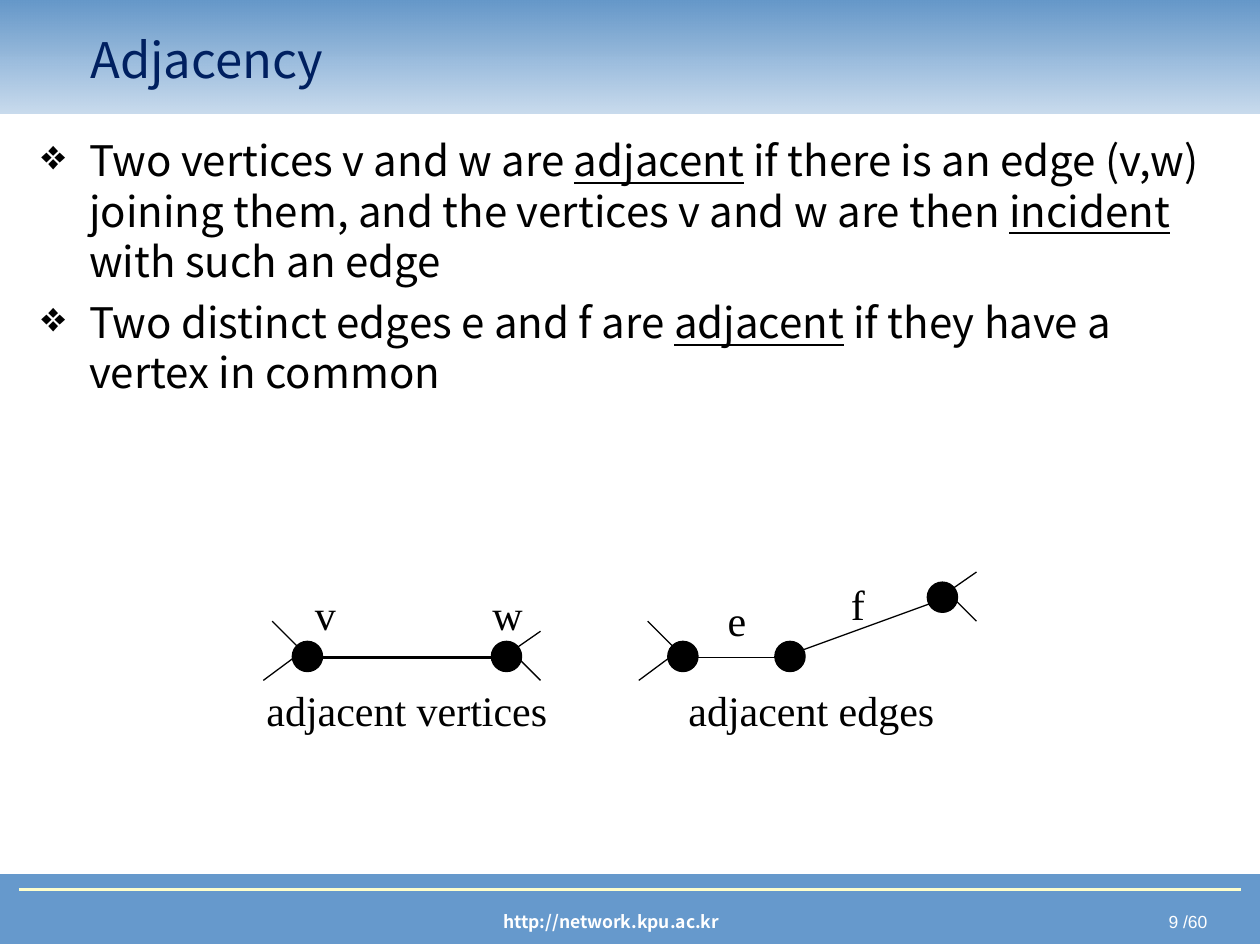
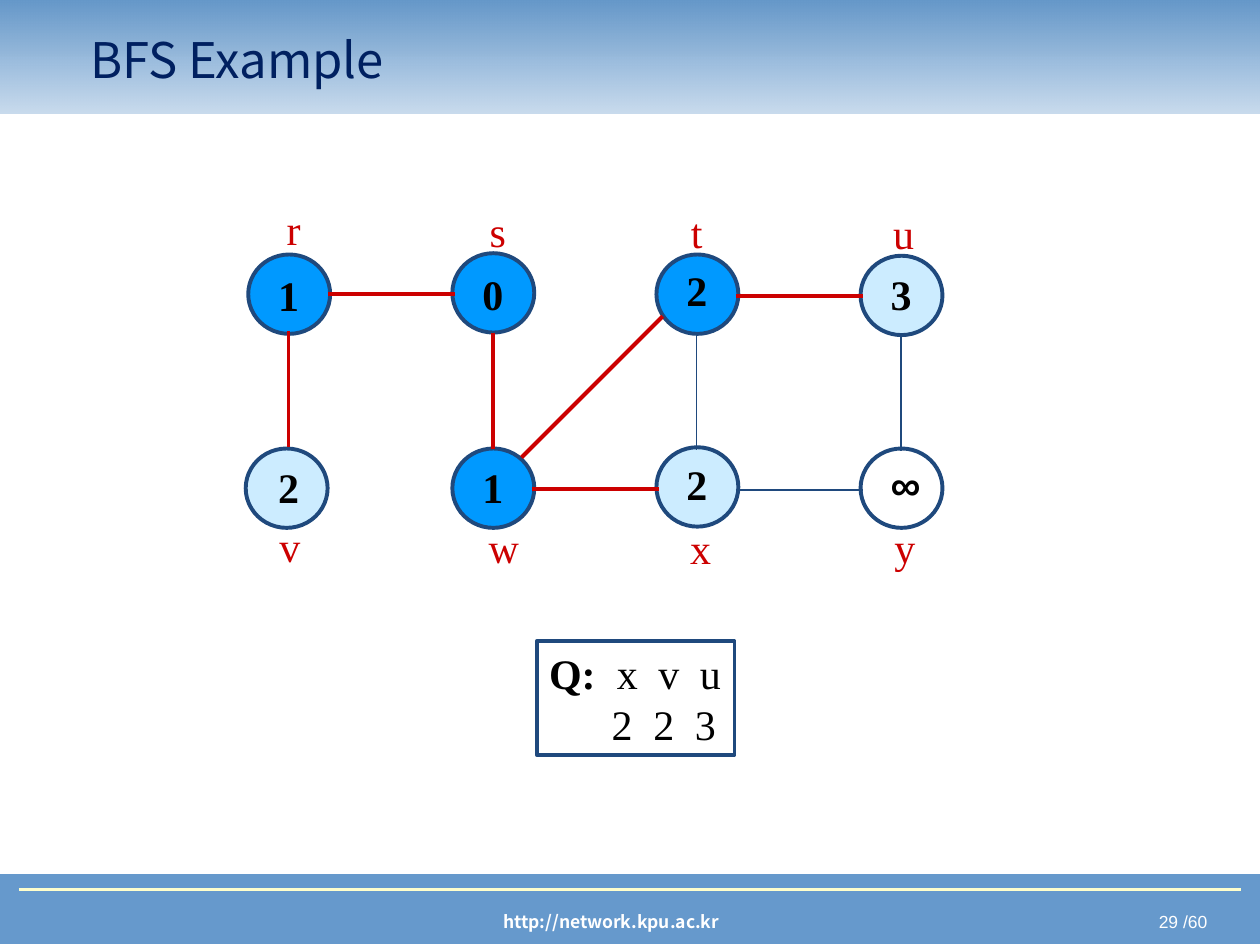
from lxml import etree
from pptx import Presentation
from pptx.dml.color import RGBColor
from pptx.enum import shapes, text
from pptx.oxml import ns
from pptx.util import Inches, Pt

SANS, SERIF = "Noto Sans CJK KR", "Times New Roman"
BLACK, WHITE, NAVY, SKY = "000000", "FFFFFF", "002060", "6699CC"
RED, OUTLINE, VISITED, QUEUED = "CC0000", "1F497D", "0099FF", "CCECFF"
CENTER, RIGHT = text.PP_ALIGN.CENTER, text.PP_ALIGN.RIGHT
RECT, OVAL = shapes.MSO_SHAPE.RECTANGLE, shapes.MSO_SHAPE.OVAL


def rgb(value):
    """Turn a hex string into a colour."""
    return RGBColor.from_string(value)


def add_xml(parent, tag, **attributes):
    """Append a DrawingML element to parent."""
    return etree.SubElement(parent, ns.qn(tag), attributes)


def write(paragraph, words, color=BLACK, **formats):
    """Add a run with the given font settings."""
    run = paragraph.add_run()
    run.text = words
    run.font.color.rgb = rgb(color)
    for name, value in formats.items():
        setattr(run.font, name, value)


def add_box(slide, left, top, width, height, wrap=True):
    """Add an empty text box and return its text frame."""
    frame = slide.shapes.add_textbox(*map(Inches, (left, top, width, height))).text_frame
    frame.word_wrap = wrap
    return frame


def add_label(slide, words, center, top, width=0.36, color=BLACK, name=SERIF, bold=False):
    """Write one line centred on a horizontal position."""
    frame = add_box(slide, center - width / 2, top, width, 0.5, wrap=False)
    frame.paragraphs[0].alignment = CENTER
    write(frame.paragraphs[0], words, color, size=Pt(24), name=name, bold=bold)


def add_outline(slide, kind, left, top, width, height, fill=None, line=None, weight=0.75):
    """Add a preset shape with optional fill and line."""
    shape = slide.shapes.add_shape(kind, *map(Inches, (left, top, width, height)))
    shape.shadow.inherit = False
    if fill:
        shape.fill.solid()
        shape.fill.fore_color.rgb = rgb(fill)
    else:
        shape.fill.background()
    if line:
        shape.line.color.rgb = rgb(line)
        shape.line.width = Pt(weight)
    else:
        shape.line.fill.background()
    return shape


def add_line(slide, x1, y1, x2, y2, color=BLACK, weight=0.75):
    """Draw a straight line without shadow."""
    line = slide.shapes.add_connector(
        shapes.MSO_CONNECTOR.STRAIGHT, *map(Inches, (x1, y1, x2, y2)))
    line.line.color.rgb = rgb(color)
    line.line.width = Pt(weight)
    add_xml(line._element.spPr, "a:effectLst")


def add_header(slide, title):
    """Draw the fading top band with the slide title."""
    band = add_outline(slide, RECT, 0, 0, 10, 0.9)
    band.fill.gradient()
    band.fill.gradient_angle = 90
    for stop, color in zip(band.fill.gradient_stops, (SKY, "6497C9")):
        stop.color.rgb = rgb(color)
    faded = next(band._element.iter(ns.qn("a:srgbClr")))
    add_xml(faded, "a:alpha", val="35000")
    frame = add_box(slide, 0.62, 0.16, 8.44, 0.62)
    frame.vertical_anchor = text.MSO_ANCHOR.MIDDLE
    write(frame.paragraphs[0], title, NAVY, size=Pt(28), name=SANS)


def add_footer(slide, page):
    """Draw the bottom band with address and page number."""
    add_outline(slide, RECT, 0, 6.94, 10, 0.55, SKY, SKY)
    for words, left, width, align, name, bold in (
            (f"{page} /60", 7.42, 2.26, RIGHT, "Arial", False),
            ("http://network.kpu.ac.kr", 2.27, 5.16, CENTER, SANS, True)):
        paragraph = add_box(slide, left, 7.18, width, 0.27).paragraphs[0]
        paragraph.alignment = align
        write(paragraph, words, WHITE, size=Pt(10), name=name, bold=bold)
    add_line(slide, 0.15, 7.06, 9.85, 7.06, "FFFFCC", 1.5)


def start_slide(deck, title, page):
    """Add a blank slide with header and footer."""
    slide = deck.slides.add_slide(deck.slide_layouts[6])
    add_footer(slide, page)
    add_header(slide, title)
    return slide


def add_definitions(slide, left, top, width, height, definitions):
    """Write bulleted definitions, underlining every second piece."""
    frame = add_box(slide, left, top, width, height)
    for index, pieces in enumerate(definitions):
        paragraph = frame.add_paragraph() if index else frame.paragraphs[0]
        properties = paragraph._p.get_or_add_pPr()
        properties.set("marL", str(Inches(0.38)))
        properties.set("indent", str(-Inches(0.38)))
        add_xml(add_xml(properties, "a:buClr"), "a:srgbClr", val=BLACK)
        add_xml(properties, "a:buChar", char="❖")
        if index:
            paragraph.space_before = Pt(6)
        for position, piece in enumerate(pieces):
            write(paragraph, piece, size=Pt(24), name=SANS, underline=position % 2 == 1)


def add_adjacency(slide, left, top, dots, edges, names, caption, caption_center, caption_width):
    """Draw a small graph whose outer dots have loose edges."""
    for x, y in dots:
        add_outline(slide, OVAL, left + x, top + y, 0.24, 0.24, BLACK, BLACK)
    for x1, y1, x2, y2, weight in edges:
        add_line(slide, left + x1, top + y1, left + x2, top + y2, weight=weight)
    ends = ((dots[0], 0.08, ((-0.24, -0.24), (-0.31, 0.23))),
            (dots[-1], 0.16, ((0.23, -0.16), (0.23, 0.23))))
    for (x, y), inset, stubs in ends:
        start_x, start_y = left + x + inset, top + y + 0.08
        for dx, dy in stubs:
            add_line(slide, start_x, start_y, start_x + dx, start_y + dy)
    for name, x, y in names:
        add_label(slide, name, left + x, top + y)
    add_label(slide, caption, left + caption_center, top + 0.84, caption_width)


def add_search_graph(slide, left, top):
    """Draw the searched graph with distances and vertex names."""
    step, first = 1.62, 0.34
    vertices = (
        ("r", 0, 0.02, 0.45, VISITED, "1", 0.52, 0.04, 0),
        ("s", 1, 0.02, 0.44, VISITED, "0", 0.51, 0.04, 0.01),
        ("t", 2, 0.02, 0.45, VISITED, "2", 0.48, 0, 0.02),
        ("u", 3, 0.02, 0.46, QUEUED, "3", 0.51, 0.02, 0.03),
        ("v", 0, 0, 1.99, QUEUED, "2", 2.04, 0.01, 2.51),
        ("w", 1, 0.02, 1.99, VISITED, "1", 2.04, 0.05, 2.52),
        ("x", 2, 0.02, 1.98, QUEUED, "2", 2.02, 0.03, 2.53),
        ("y", 3, 0.02, 1.99, None, "∞", 2.02, 0.03, 2.52),
    )
    for name, column, x, y, fill, distance, distance_y, shift, name_y in vertices:
        offset = left + step * column
        center = offset + first
        add_outline(slide, OVAL, offset + x, top + y, 0.65, 0.63, fill, OUTLINE, 2.25)
        add_label(slide, distance, center, top + distance_y, bold=True,
                  name="Arial" if distance == "∞" else SERIF)
        add_label(slide, name, center + shift, top + name_y, color=RED)
    across = [(0.65 + step * column, y, 1.01, 0, tree)
              for column, y, tree in
              ((0, 0.76, True), (1, 2.31, True), (2, 2.32, False), (2, 0.78, True))]
    down = [(first + step * column, 1.06 + 0.01 * column, 0, 0.92, column < 2)
            for column in range(4)]
    for x, y, dx, dy, tree in across + down + [(2.19, 2.06, 1.12, -1.12, True)]:
        add_line(slide, left + x, top + y, left + x + dx, top + y + dy,
                 *((RED, 2.25) if tree else (OUTLINE, 0.75)))


def add_queue(slide, left, top):
    """Draw the queue box with aligned vertices and distances."""
    frame = add_outline(slide, RECT, left, top, 1.57, 0.9, line=OUTLINE, weight=2.25).text_frame
    frame.word_wrap = True
    frame.margin_right = 0
    rows = (("Q:", "\tx\tv\tu", 0.62), ("", "\t2\t2\t3", 0.58))
    for index, (heading, entries, first) in enumerate(rows):
        paragraph = frame.add_paragraph() if index else frame.paragraphs[0]
        paragraph.alignment = text.PP_ALIGN.LEFT
        stops = add_xml(paragraph._p.get_or_add_pPr(), "a:tabLst")
        for column in range(3):
            add_xml(stops, "a:tab", pos=str(Inches(first + 0.33 * column)), algn="ctr")
        if heading:
            write(paragraph, heading, size=Pt(24), name=SERIF, bold=True)
        write(paragraph, entries, size=Pt(24), name=SERIF, bold=False)


def adjacency_slide(deck):
    """Build the slide that defines adjacency."""
    slide = start_slide(deck, "Adjacency", 9)
    add_definitions(slide, 0.23, 1.02, 9.45, 5.78, (
        ("Two vertices v and w are ", "adjacent",
         " if there is an edge (v,w) joining them, and the vertices v and w are then ",
         "incident", " with such an edge"),
        ("Two distinct edges e and f are ", "adjacent", " if they have a vertex in common")))
    add_adjacency(slide, 2.02, 4.54, ((0.3, 0.55), (1.88, 0.55)),
                  ((0.46, 0.68, 1.96, 0.68, 1.5),),
                  (("w", 1.97, 0.08), ("v", 0.56, 0.08)), "adjacent vertices", 1.21, 2.43)
    add_adjacency(slide, 5.06, 4.54, ((0.24, 0.55), (1.09, 0.55), (2.3, 0.08)),
                  ((0.33, 0.68, 1.2, 0.68, 0.75), (1.28, 0.63, 2.38, 0.23, 0.75)),
                  (("f", 1.75, 0), ("e", 0.79, 0.13)), "adjacent edges", 1.38, 2.15)


def search_slide(deck):
    """Build the breadth-first search slide."""
    slide = start_slide(deck, "BFS Example", 29)
    add_search_graph(slide, 1.95, 1.57)
    add_queue(slide, 4.26, 5.09)


def main():
    """Build and save the deck."""
    deck = Presentation()
    deck.slide_width, deck.slide_height = Inches(10), Inches(7.5)
    adjacency_slide(deck)
    search_slide(deck)
    deck.save("out.pptx")


if __name__ == "__main__":
    main()
